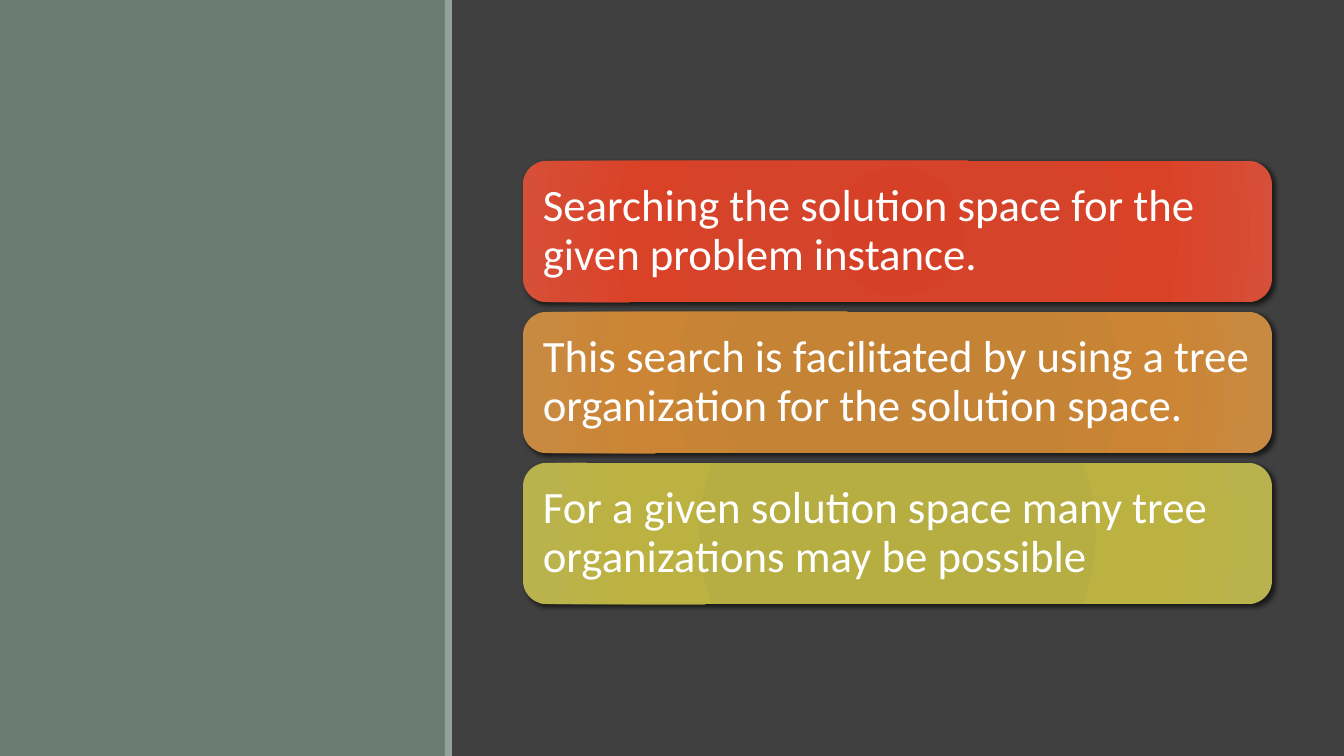
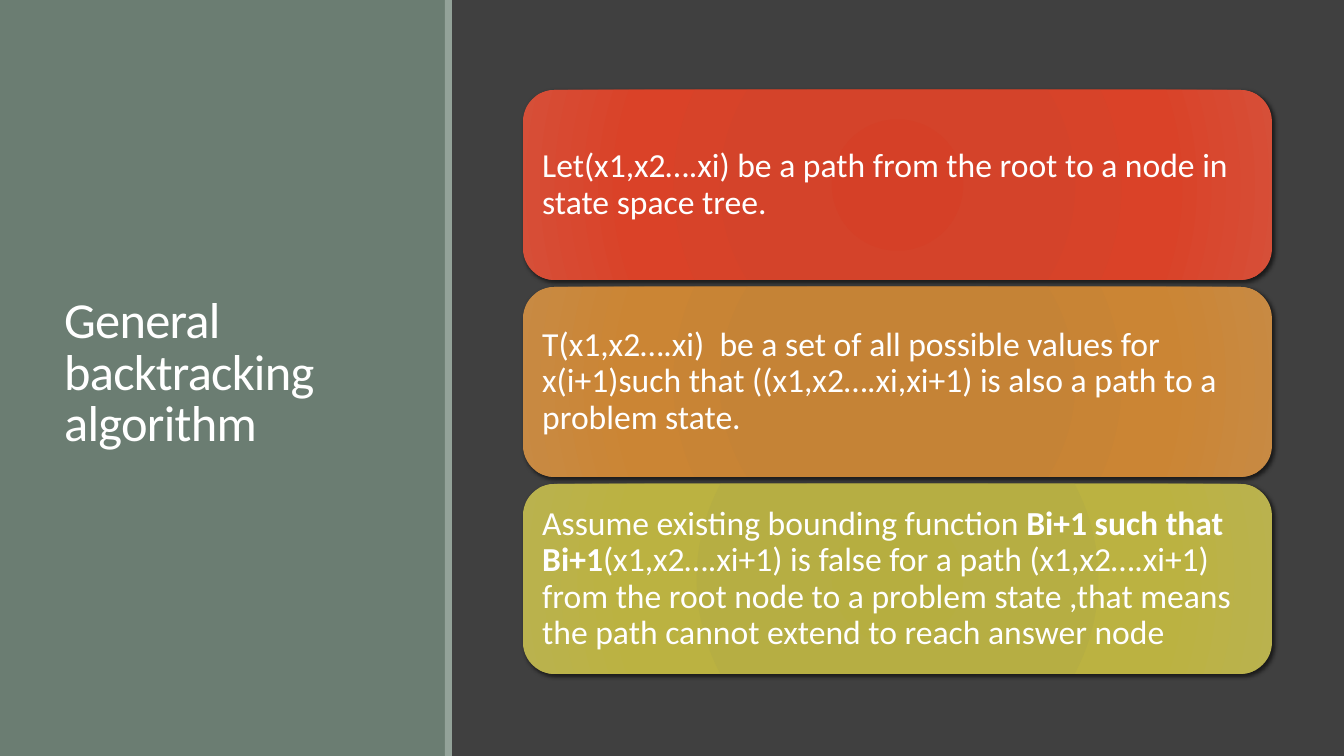
from lxml import etree
from pptx import Presentation
from pptx.dml.color import RGBColor
from pptx.enum.shapes import MSO_SHAPE
from pptx.enum.text import MSO_ANCHOR, MSO_AUTO_SIZE, PP_ALIGN
from pptx.oxml import parse_xml
from pptx.oxml.ns import nsdecls, qn
from pptx.util import Pt

RECTANGLE, ROUNDED = MSO_SHAPE.RECTANGLE, MSO_SHAPE.ROUNDED_RECTANGLE
LEFT, MIDDLE, NO_AUTOFIT = PP_ALIGN.LEFT, MSO_ANCHOR.MIDDLE, MSO_AUTO_SIZE.NONE
PX = 12192000 / 1344
PAGE_WIDTH, PAGE_HEIGHT = 1344, 756
PANEL_WIDTH, BAR_WIDTH = 445, 7
CARD_LEFT, CARD_WIDTH, CARDS_MIDDLE = 523, 749, 382
FONT, WHITE, BACKGROUND, PANEL, BAR = "Calibri", "FFFFFF", "404040", "6B7D72", "93A299"
STOPS = (0, 34, 70, 100)
GRADIENTS = (
    ("D54027", "D4432A", "DA4228", "D64F38"),
    ("C68233", "C58336", "CB8534", "C88A43"),
    ("B6AE40", "B6AE43", "BBB241", "BAB24E"),
)

# Each card is a list of (text, bold) spans.
PAGES = [
    {"title": None, "size": 32, "height": 141, "gap": 10, "inset": 13, "cards": [
        [("Searching the solution space for the given problem instance.", False)],
        [("This search is facilitated by using a tree organization for the solution space.", False)],
        [("For a given solution space many tree organizations may be possible", False)],
    ]},
    {"title": "General backtracking algorithm", "size": 24, "height": 190, "gap": 7, "inset": 10, "cards": [
        [("Let(x1,x2….xi) be a path from the root to a node in state space tree.", False)],
        [("T(x1,x2….xi)  be a set of all possible values for x(i+1)such that "
          "((x1,x2….xi,xi+1) is also a path to a problem state.", False)],
        [("Assume existing bounding function ", False),
         ("Bi+1 such that Bi+1", True),
         ("(x1,x2….xi+1) is false for a path (x1,x2….xi+1)  from the root node to a problem state ,"
          "that means the path cannot extend to reach answer node", False)],
    ]},
]


def color(value):
    return RGBColor.from_string(value)


def add_span(para, text, size, bold=False):
    span = para.add_run()
    span.text = text
    span.font.name = FONT
    span.font.size = Pt(size)
    span.font.bold = bold
    span.font.color.rgb = color(WHITE)
    return span


deck = Presentation()
deck.slide_width, deck.slide_height = round(PAGE_WIDTH * PX), round(PAGE_HEIGHT * PX)

# Shared layout: dark background, title place, side panel and its edge bar
layout = deck.slide_layouts[5]
layout.background.fill.solid()
layout.background.fill.fore_color.rgb = color(BACKGROUND)
for holder in list(layout.placeholders):
    if holder.placeholder_format.idx == 0:
        holder.left, holder.top, holder.width, holder.height = [round(v * PX) for v in (54, 57, 340, 636)]
    else:
        layout.shapes.element.remove(holder.element)

pages = [deck.slides.add_slide(layout) for _ in PAGES]
bands = ((0, PANEL_WIDTH, PANEL), (PANEL_WIDTH, BAR_WIDTH, BAR))
for position, (left, width, fill) in enumerate(bands):
    band = pages[0].shapes.add_shape(
        RECTANGLE, round(left * PX), 0, round(width * PX), deck.slide_height)
    band.shadow.inherit = False
    band.fill.solid()
    band.fill.fore_color.rgb = color(fill)
    band.line.fill.background()
    layout.shapes.element.insert(2 + position, band.element)

for page, content in zip(pages, PAGES):
    title = page.shapes.title
    if content["title"]:
        frame = title.text_frame
        frame.word_wrap = True
        frame.auto_size = NO_AUTOFIT
        frame.vertical_anchor = MIDDLE
        para = frame.paragraphs[0]
        para.alignment = LEFT
        para.line_spacing = 0.85
        span = add_span(para, content["title"], 36)
        span.font._element.set("spc", "-50")
    else:
        page.shapes.element.remove(title.element)

    height, pitch = content["height"], content["height"] + content["gap"]
    top = CARDS_MIDDLE - (len(content["cards"]) * pitch - content["gap"]) // 2
    for row, (spans, shades) in enumerate(zip(content["cards"], GRADIENTS)):
        card = page.shapes.add_shape(
            ROUNDED, round(CARD_LEFT * PX), round((top + row * pitch) * PX),
            round(CARD_WIDTH * PX), round(height * PX))
        stops = "".join(
            f'<a:gs pos="{stop * 1000}"><a:srgbClr val="{shade}"/></a:gs>'
            for stop, shade in zip(STOPS, shades))
        properties = card.element.spPr
        properties.append(parse_xml(
            f'<a:gradFill {nsdecls("a")} rotWithShape="1"><a:gsLst>{stops}</a:gsLst><a:path path="circle">'
            '<a:fillToRect l="100000" t="100000" r="100000" b="100000"/></a:path></a:gradFill>'))
        card.line.fill.background()
        card.shadow.inherit = False
        shadow = etree.SubElement(
            properties.find(qn("a:effectLst")), qn("a:outerShdw"),
            blurRad="38100", dist="25400", dir="2700000", rotWithShape="0")
        shade = etree.SubElement(shadow, qn("a:srgbClr"), val="000000")
        etree.SubElement(shade, qn("a:alpha"), val="60000")

        frame = card.text_frame
        frame.word_wrap = True
        frame.vertical_anchor = MIDDLE
        inset = round(content["inset"] * PX)
        frame.margin_left = frame.margin_right = frame.margin_top = frame.margin_bottom = inset
        para = frame.paragraphs[0]
        para.alignment = LEFT
        para.line_spacing = 0.9
        for text, bold in spans:
            add_span(para, text, content["size"], bold)

deck.save("out.pptx")
